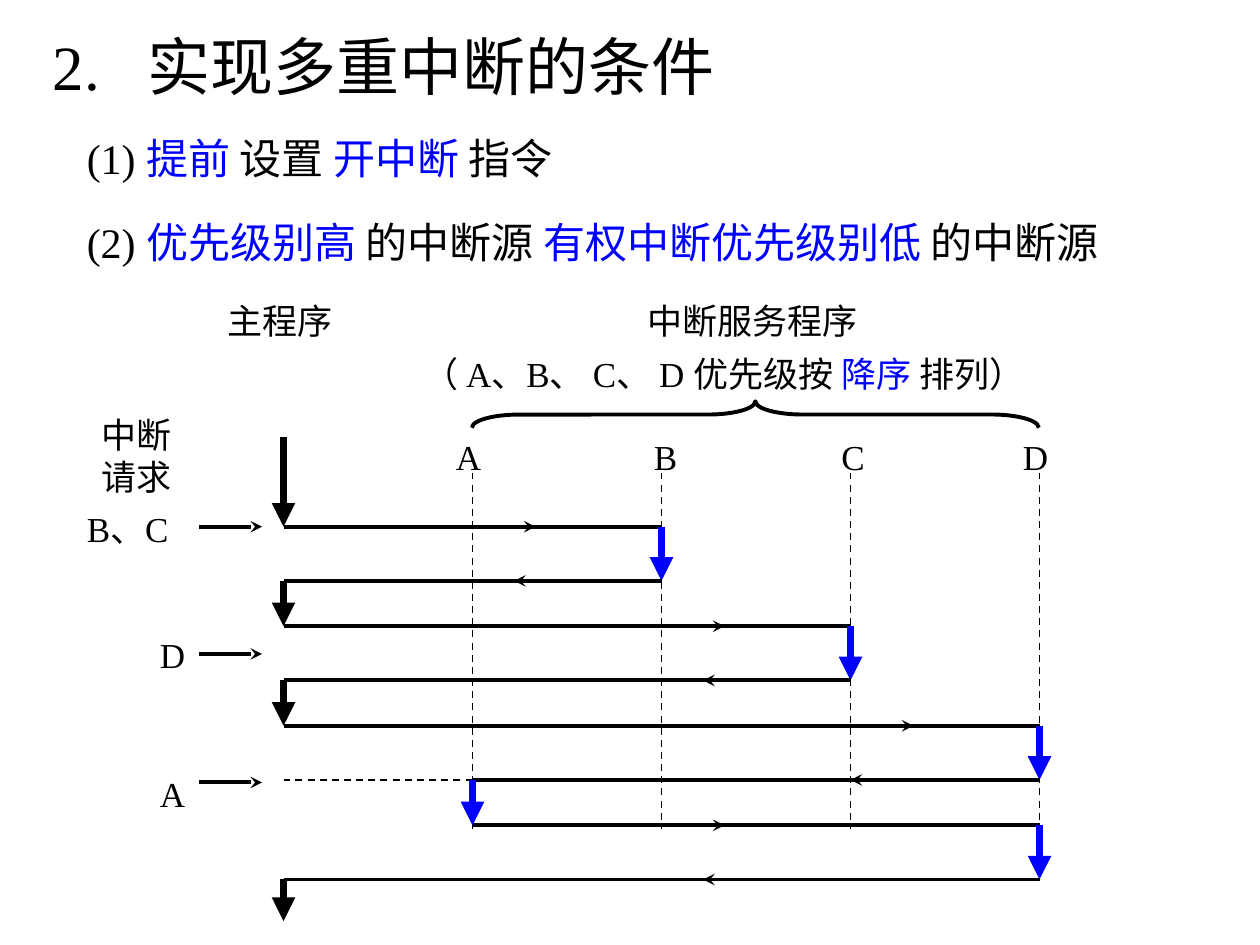
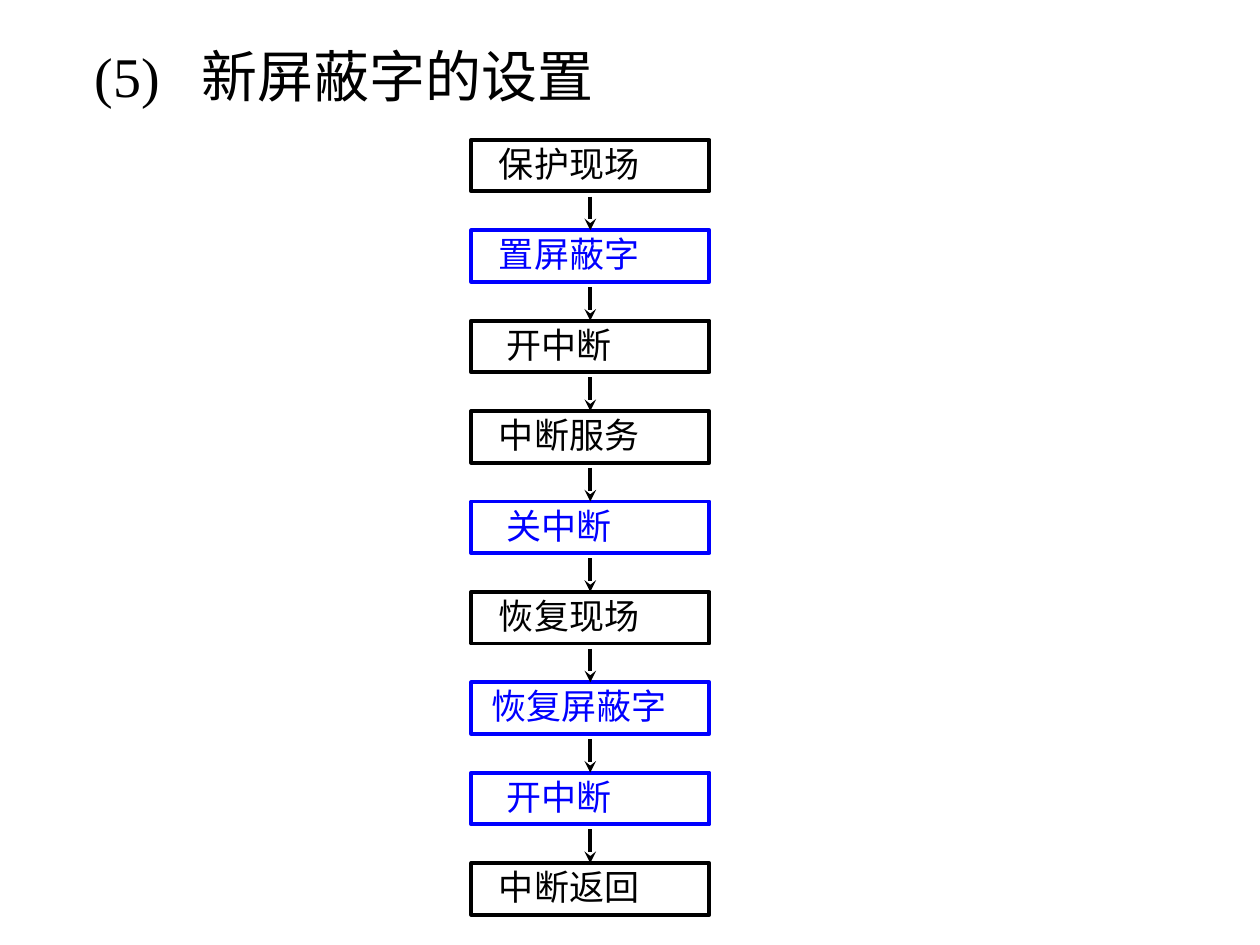
from dataclasses import dataclass
from itertools import pairwise

from lxml.etree import SubElement
from pptx import Presentation
from pptx.dml.color import RGBColor
from pptx.enum.dml import MSO_LINE
from pptx.enum.shapes import MSO_CONNECTOR, MSO_SHAPE
from pptx.enum.text import MSO_ANCHOR, PP_ALIGN
from pptx.oxml.ns import qn
from pptx.shapes.autoshape import Shape
from pptx.shapes.connector import Connector
from pptx.slide import Slide
from pptx.text.text import TextFrame, _Paragraph
from pptx.util import Inches, Pt

BLACK, BLUE = "000000", "0000FF"
LATIN_FONT, CHINESE_FONT = "Times New Roman", "Noto Sans CJK SC"
LINE_HEIGHT = 1.2
MAIN = 2.25
COLUMNS = {name: 3.75 + 1.5 * index for index, name in enumerate("ABCD")}
GUIDE_TOP, GUIDE_BOTTOM = 3.75, 6.58
PROGRAM_START, PROGRAM_END = 3.47, 7.31
MARK_LENGTH = 0.5
BOX_LEFT, BOX_WIDTH, BOX_HEIGHT = 3.74, 1.89, 0.41
FIRST_BOX, LAST_BOX = 1.11, 6.85
ARROW_GAP = 0.04

LABEL_FORMAT = {
    "margin_left": Inches(0.1),
    "margin_right": 0,
    "margin_top": Inches(0.05),
    "margin_bottom": Inches(0.05),
    "word_wrap": True,
}
TITLE_FORMAT = {
    "margin_left": 0,
    "margin_right": 0,
    "margin_top": 0,
    "margin_bottom": 0,
    "vertical_anchor": MSO_ANCHOR.MIDDLE,
    "word_wrap": True,
}
BOX_FORMAT = {
    "margin_right": 0,
    "margin_top": Inches(0.02),
    "margin_bottom": Inches(0.05),
    "vertical_anchor": MSO_ANCHOR.TOP,
    "word_wrap": True,
}


@dataclass(frozen=True)
class Label:
    """Text whose paragraphs are lists of (text, colour) runs."""

    left: float
    top: float
    width: float
    height: float
    paragraphs: list[list[tuple[str, str]]]
    size: int = 20


@dataclass(frozen=True)
class Transfer:
    """A jump of control to another column, with the tip of its direction mark."""

    target: float
    height: float
    tip: float


@dataclass(frozen=True)
class Request:
    """An interrupt request with its label box and arrow height."""

    name: str
    left: float
    top: float
    width: float
    arrow_height: float


@dataclass(frozen=True)
class Step:
    """One step of the interrupt service flow."""

    name: str
    colour: str = BLACK


CONDITIONS = [
    Label(0.59, 1, 4.49, 0.5, [[
        ("(1) ", BLACK), ("提前 ", BLUE), ("设置 ", BLACK), ("开中断 ", BLUE), ("指令", BLACK),
    ]], 24),
    Label(0.59, 1.67, 8.91, 0.5, [[
        ("(2) ", BLACK), ("优先级别高 ", BLUE), ("的中断源 ", BLACK),
        ("有权中断优先级别低 ", BLUE), ("的中断源", BLACK),
    ]], 24),
]
DIAGRAM_LABELS = [
    Label(1.71, 2.33, 1.03, 0.44, [[("主程序", BLACK)]]),
    Label(5.04, 2.33, 1.87, 0.44, [[("中断服务程序", BLACK)]]),
    Label(3.26, 2.75, 5.52, 0.44, [[
        ("（ A、B、 C、 D 优先级按 ", BLACK), ("降序 ", BLUE), ("排列）", BLACK),
    ]]),
    Label(0.71, 3.23, 0.75, 0.77, [[("中断", BLACK)], [("请求", BLACK)]]),
    Label(3.52, 3.41, 0.4, 0.44, [[("A", BLACK)]]),
    Label(5.09, 3.41, 0.38, 0.44, [[("B", BLACK)]]),
    Label(6.58, 3.41, 0.38, 0.44, [[("C", BLACK)]]),
    Label(8.02, 3.41, 0.4, 0.44, [[("D", BLACK)]]),
]
TRANSFERS = [
    Transfer(COLUMNS["B"], 4.18, 4.25),
    Transfer(MAIN, 4.61, 4.08),
    Transfer(COLUMNS["C"], 4.97, 5.75),
    Transfer(MAIN, 5.4, 5.58),
    Transfer(COLUMNS["D"], 5.76, 7.25),
    Transfer(COLUMNS["A"], 6.19, 6.75),
    Transfer(COLUMNS["D"], 6.55, 5.75),
    Transfer(MAIN, 6.98, 5.58),
]
REQUESTS = [
    Request("B、C", 0.59, 3.98, 0.98, 4.18),
    Request("D", 1.17, 4.98, 0.4, 5.19),
    Request("A", 1.17, 6.08, 0.4, 6.21),
]
STEPS = [
    Step("保护现场"),
    Step("置屏蔽字", BLUE),
    Step("开中断"),
    Step("中断服务"),
    Step("关中断", BLUE),
    Step("恢复现场"),
    Step("恢复屏蔽字", BLUE),
    Step("开中断", BLUE),
    Step("中断返回"),
]


def rgb(colour: str) -> RGBColor:
    """Turn a hex string into a colour."""
    return RGBColor.from_string(colour)


def apply_format(target: object, values: dict) -> None:
    """Set every attribute named in a dict of format values."""
    for name, value in values.items():
        setattr(target, name, value)


def add_run(paragraph: _Paragraph, text: str, size: int, colour: str, font: str = LATIN_FONT) -> None:
    """Append a formatted run; Chinese beside Latin type gets a fixed line height."""
    run = paragraph.add_run()
    run.text = text
    apply_format(run.font, {"size": Pt(size), "name": font})
    run.font.color.rgb = rgb(colour)
    SubElement(run.font._element, qn("a:ea"), typeface=CHINESE_FONT)
    if font == LATIN_FONT and not text.isascii():
        paragraph.line_spacing = Pt(size * LINE_HEIGHT)


def add_text_frame(slide: Slide, left: float, top: float, width: float, height: float, values: dict) -> TextFrame:
    """Add a text box and return its formatted frame."""
    shape = slide.shapes.add_textbox(Inches(left), Inches(top), Inches(width), Inches(height))
    apply_format(shape.text_frame, values)
    return shape.text_frame


def add_title(slide: Slide, left: float, top: float, width: float, text: str, size: int, tab: float) -> None:
    """Add a title whose number and words are set apart by a tab stop."""
    paragraph = add_text_frame(slide, left, top, width, 0.47, TITLE_FORMAT).paragraphs[0]
    add_run(paragraph, text, size, BLACK)
    stops = SubElement(paragraph._p.get_or_add_pPr(), qn("a:tabLst"))
    SubElement(stops, qn("a:tab"), pos=str(Inches(tab)), algn="l")


def add_label(slide: Slide, label: Label) -> None:
    """Add a text label."""
    frame = add_text_frame(slide, label.left, label.top, label.width, label.height, LABEL_FORMAT)
    for index, runs in enumerate(label.paragraphs):
        paragraph = frame.add_paragraph() if index else frame.paragraphs[0]
        for text, colour in runs:
            add_run(paragraph, text, label.size, colour)


def add_line(
    slide: Slide,
    start: tuple[float, float],
    end: tuple[float, float],
    width: float = 2.25,
    colour: str = BLACK,
    head: str = "",
    dashed: bool = False,
) -> Connector:
    """Add a straight line, optionally dashed or with an arrowhead at its end."""
    points = [Inches(value) for value in (*start, *end)]
    connector = slide.shapes.add_connector(MSO_CONNECTOR.STRAIGHT, *points)
    connector.line.width = Pt(width)
    connector.line.color.rgb = rgb(colour)
    if dashed:
        connector.line.dash_style = MSO_LINE.DASH
    if head:
        SubElement(connector.line._get_or_add_ln(), qn("a:tailEnd"), type=head)
    SubElement(connector._element.spPr, qn("a:effectLst"))
    return connector


def add_outline(slide: Slide, kind: MSO_SHAPE, left: float, top: float, width: float, height: float, colour: str) -> Shape:
    """Add an unfilled preset shape."""
    shape = slide.shapes.add_shape(kind, Inches(left), Inches(top), Inches(width), Inches(height))
    shape.shadow.inherit = False
    shape.fill.background()
    shape.line.width = Pt(2.25)
    shape.line.color.rgb = rgb(colour)
    return shape


def draw_transfers(slide: Slide) -> None:
    """Draw the path of control from the main program through the services."""
    add_line(slide, (MAIN, PROGRAM_START), (MAIN, TRANSFERS[0].height), 4.5, head="triangle")
    source = MAIN
    stops = [transfer.height for transfer in TRANSFERS] + [PROGRAM_END]
    for transfer, (top, bottom) in zip(TRANSFERS, pairwise(stops)):
        add_line(slide, (source, top), (transfer.target, top))
        direction = 1 if transfer.target > source else -1
        mark_start = transfer.tip - direction * MARK_LENGTH
        add_line(slide, (mark_start, top), (transfer.tip, top), head="stealth")
        colour = BLACK if transfer.target == MAIN else BLUE
        add_line(slide, (transfer.target, top), (transfer.target, bottom), 4.5, colour, "triangle")
        source = transfer.target


def draw_conditions_slide(slide: Slide) -> None:
    """Draw the conditions for nested interrupts and their time diagram."""
    add_title(slide, 0.42, 0.28, 5.9, "2.\t实现多重中断的条件", 36, 0.75)
    for label in CONDITIONS + DIAGRAM_LABELS:
        add_label(slide, label)
    for column in COLUMNS.values():
        add_line(slide, (column, GUIDE_TOP), (column, GUIDE_BOTTOM), 1, dashed=True)
    add_line(slide, (COLUMNS["A"], 6.19), (MAIN, 6.19), 1, dashed=True)
    brace = add_outline(slide, MSO_SHAPE.LEFT_BRACE, 5.89, 1.04, 0.21, 4.5, BLACK)
    brace.rotation = 90
    brace.adjustments[0] = 1.79
    draw_transfers(slide)
    for request in REQUESTS:
        add_label(slide, Label(request.left, request.top, request.width, 0.44, [[(request.name, BLACK)]]))
        start = (1.58, request.arrow_height)
        add_line(slide, start, (start[0] + MARK_LENGTH, start[1]), head="stealth")


def draw_mask_slide(slide: Slide) -> None:
    """Draw the flow that sets and restores the mask word."""
    add_title(slide, 0.75, 0.36, 7.8, "(5)\t新屏蔽字的设置", 32, 0.85)
    pitch = (LAST_BOX - FIRST_BOX) / (len(STEPS) - 1)
    centre = BOX_LEFT + BOX_WIDTH / 2
    for index, step in enumerate(STEPS):
        top = FIRST_BOX + index * pitch
        box = add_outline(slide, MSO_SHAPE.RECTANGLE, BOX_LEFT, top, BOX_WIDTH, BOX_HEIGHT, step.colour)
        indent = Inches(0.16 + 0.06 * (5 - len(step.name)))
        apply_format(box.text_frame, BOX_FORMAT | {"margin_left": indent})
        paragraph = box.text_frame.paragraphs[0]
        paragraph.alignment = PP_ALIGN.LEFT
        add_run(paragraph, step.name, 20, step.colour, CHINESE_FONT)
        if index:
            arrow_top = top - pitch + BOX_HEIGHT + ARROW_GAP
            arrow = add_line(slide, (centre, arrow_top), (centre, top), head="stealth")
            arrow.end_connect(box, 0)


def main() -> None:
    """Build and save the presentation."""
    presentation = Presentation()
    apply_format(presentation, {"slide_width": Inches(10), "slide_height": Inches(7.5)})
    for draw in (draw_conditions_slide, draw_mask_slide):
        draw(presentation.slides.add_slide(presentation.slide_layouts[6]))
    presentation.save("out.pptx")


if __name__ == "__main__":
    main()
